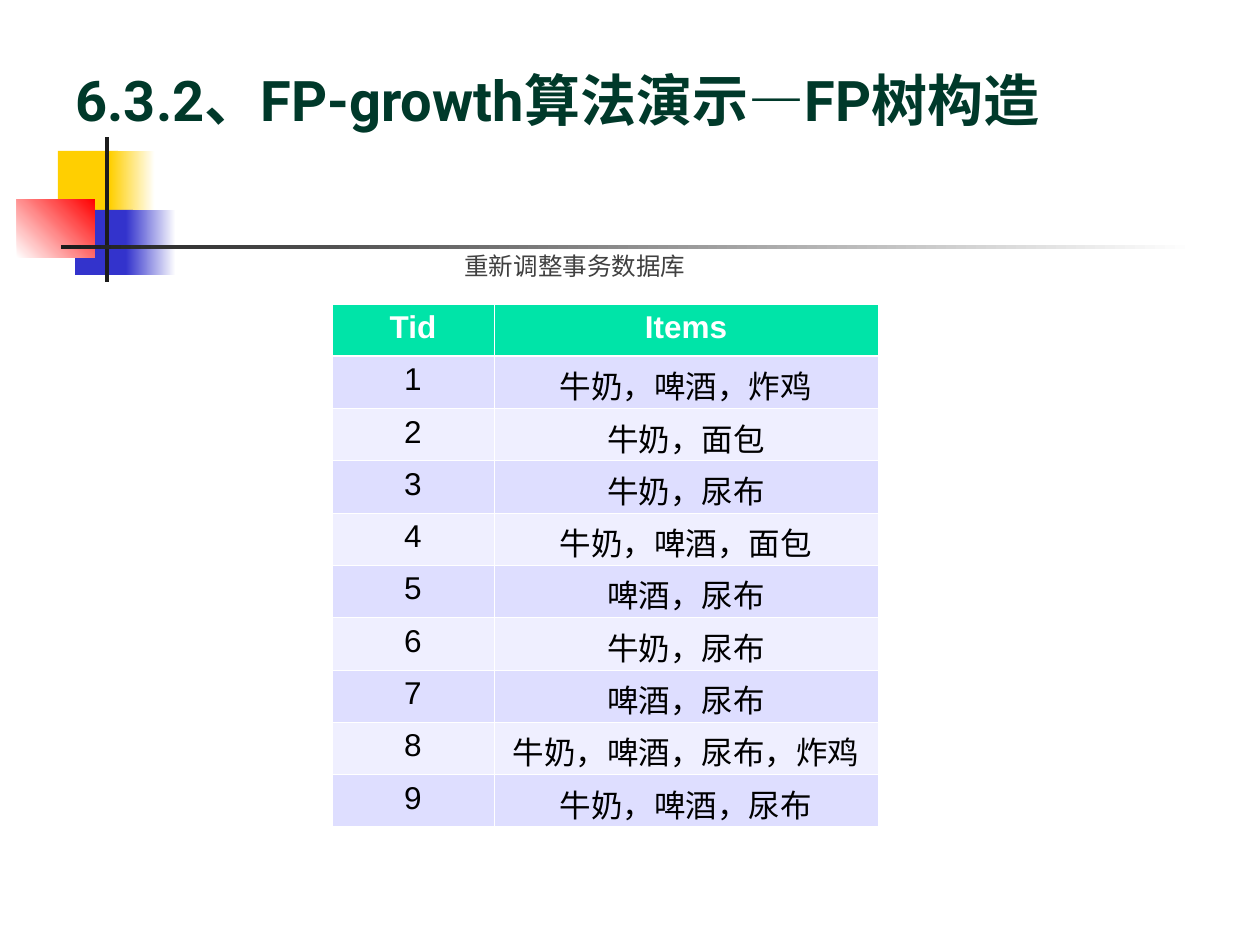
import pptx
import pptx.util
import pptx.dml.color
import pptx.enum.shapes
import pptx.enum.text
import pptx.oxml
import pptx.oxml.ns

RGB = pptx.dml.color.RGBColor
WHITE = RGB(0xFF, 0xFF, 0xFF)
BLACK = RGB(0x00, 0x00, 0x00)
YELLOW = RGB(0xFF, 0xCF, 0x01)
BLUE = RGB(0x33, 0x33, 0xCC)
RED = RGB(0xFF, 0x00, 0x00)
CHARCOAL = RGB(0x1C, 0x1C, 0x1C)
GREY = RGB(0x40, 0x40, 0x40)
DARK_GREEN = RGB(0x00, 0x39, 0x2A)
MINT = RGB(0x00, 0xE4, 0xA8)
LAVENDER = RGB(0xDE, 0xDE, 0xFF)
PALE_LAVENDER = RGB(0xEF, 0xEF, 0xFF)

PX_PER_INCH = 126
ALIGN = pptx.enum.text.PP_ALIGN
AUTO_SIZE = pptx.enum.text.MSO_AUTO_SIZE


def px(length):
    """Turn whole pixels into EMU."""
    return pptx.util.Emu(round(length * pptx.util.Inches(1) / PX_PER_INCH))


class SlideBuilder:
    """Style and current slide, with a method for each kind of element."""

    title_font = "Roboto"
    label_font = "Noto Sans CJK SC"
    table_font = "Arial"

    def __init__(self, slide):
        self.slide = slide

    def add_run(self, paragraph, text, font, size, color, bold=False):
        run = paragraph.add_run()
        run.text = text
        run.font.name = font
        run.font.size = pptx.util.Pt(size)
        run.font.bold = bold
        run.font.color.rgb = color
        return run

    def title(self, text, left, top, width, height):
        title = self.slide.shapes.title
        title.left, title.top, title.width, title.height = map(px, (left, top, width, height))
        frame = title.text_frame
        frame.auto_size = AUTO_SIZE.NONE
        frame.vertical_anchor = pptx.enum.text.MSO_ANCHOR.MIDDLE
        paragraph = frame.paragraphs[0]
        paragraph.alignment = ALIGN.LEFT
        self.add_run(paragraph, text, self.title_font, 32, DARK_GREEN, True)

    def block(self, left, top, width, height, color, fade_to=None, angle=0):
        block = self.slide.shapes.add_shape(
            pptx.enum.shapes.MSO_SHAPE.RECTANGLE, *map(px, (left, top, width, height)))
        block.shadow.inherit = False
        block.line.fill.background()
        if fade_to is None:
            block.fill.solid()
            block.fill.fore_color.rgb = color
        else:
            block.fill.gradient()
            block.fill.gradient_angle = angle
            for stop, stop_color in zip(block.fill.gradient_stops, (color, fade_to)):
                stop.color.rgb = stop_color

    def label(self, text, left, top, width, height):
        label = self.slide.shapes.add_textbox(*map(px, (left, top, width, height)))
        frame = label.text_frame
        frame.word_wrap = False
        frame.auto_size = AUTO_SIZE.SHAPE_TO_FIT_TEXT
        run = self.add_run(frame.paragraphs[0], text, self.label_font, 14, GREY)
        east_asian = pptx.oxml.parse_xml(
            f'<a:ea {pptx.oxml.ns.nsdecls("a")} typeface="{self.label_font}"/>')
        run.font._element.append(east_asian)

    def border(self, cell, side, points):
        cell._tc.get_or_add_tcPr().append(pptx.oxml.parse_xml(
            f'<a:ln{side} {pptx.oxml.ns.nsdecls("a")} w="{pptx.util.Pt(points)}">'
            f'<a:solidFill><a:srgbClr val="{WHITE}"/></a:solidFill></a:ln{side}>'))

    def table(self, rows, left, top, column_widths, height):
        table = self.slide.shapes.add_table(
            len(rows), len(column_widths),
            *map(px, (left, top, sum(column_widths), height))).table
        for column, width in zip(table.columns, column_widths):
            column.width = px(width)
        for row_index, row in enumerate(rows):
            header = row_index == 0
            fill = MINT if header else (PALE_LAVENDER, LAVENDER)[row_index % 2]
            for column_index, text in enumerate(row):
                cell = table.cell(row_index, column_index)
                cell.margin_left = cell.margin_right = px(8)
                cell.margin_top = px(6)
                cell.margin_bottom = 0
                for side in "LRTB":
                    under_header = (row_index, side) in ((0, "B"), (1, "T"))
                    self.border(cell, side, 1.47 if under_header else 0.45)
                cell.fill.solid()
                cell.fill.fore_color.rgb = fill
                paragraph = cell.text_frame.paragraphs[0]
                paragraph.alignment = ALIGN.CENTER
                self.add_run(paragraph, text, self.table_font, 18,
                             WHITE if header else BLACK, header)


def main():
    presentation = pptx.Presentation()
    presentation.slide_width = px(1260)
    presentation.slide_height = px(945)
    builder = SlideBuilder(presentation.slides.add_slide(presentation.slide_layouts[5]))

    builder.block(58, 151, 60, 66, YELLOW)
    builder.block(110, 151, 45, 66, YELLOW, WHITE)
    builder.block(75, 210, 58, 65, BLUE)
    builder.block(126, 210, 50, 65, BLUE, WHITE)
    builder.block(17, 199, 78, 59, WHITE, RED, 45)
    builder.block(105, 137, 4, 145, CHARCOAL)
    builder.block(61, 245, 1134, 4, CHARCOAL, WHITE)

    transactions = [
        "牛奶，啤酒，炸鸡",
        "牛奶，面包",
        "牛奶，尿布",
        "牛奶，啤酒，面包",
        "啤酒，尿布",
        "牛奶，尿布",
        "啤酒，尿布",
        "牛奶，啤酒，尿布，炸鸡",
        "牛奶，啤酒，尿布",
    ]
    rows = [("Tid", "Items")]
    rows += [(str(tid), items) for tid, items in enumerate(transactions, 1)]
    builder.table(rows, 332, 304, (162, 384), 523)

    builder.label("重新调整事务数据库", 452, 245, 246, 43)
    builder.title("6.3.2、FP-growth算法演示—FP树构造", 63, 63, 1134, 72)
    presentation.save("out.pptx")


if __name__ == "__main__":
    main()
